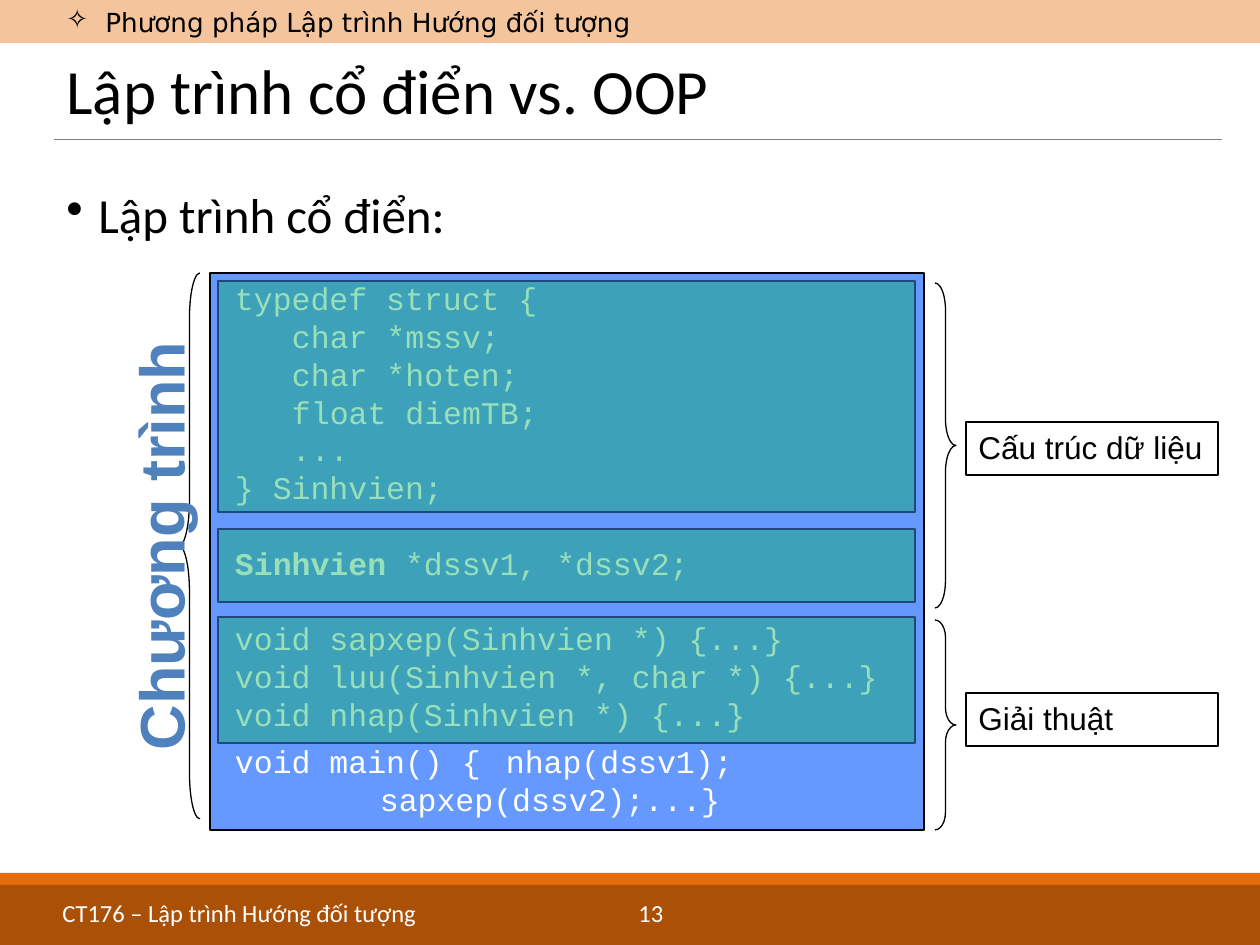
from lxml import etree
from pptx import Presentation
from pptx.dml.color import RGBColor
from pptx.enum.shapes import MSO_CONNECTOR, MSO_SHAPE
from pptx.enum.text import MSO_ANCHOR, PP_ALIGN
from pptx.oxml.ns import qn
from pptx.util import Pt

RECT = MSO_SHAPE.RECTANGLE
LEFT_BRACE, RIGHT_BRACE = MSO_SHAPE.LEFT_BRACE, MSO_SHAPE.RIGHT_BRACE
TOP, MIDDLE = MSO_ANCHOR.TOP, MSO_ANCHOR.MIDDLE
PX = 914400 // 126  # EMU in one px

COLORS = {
    "orange": "E46C0A", "brown": "984807", "gray": "808080", "white": "FFFFFF",
    "black": "000000", "blue": "6699FF", "green": "00B050", "navy": "1F497D",
    "steel": "4F81BD",
}

# Content
TOPIC = "Phương pháp Lập trình Hướng đối tượng"
TITLE = "Lập trình cổ điển vs. OOP"
BULLET = "Lập trình cổ điển:"
FOOTER = "CT176 – Lập trình Hướng đối tượng"
PAGE = "13"
PROGRAM = "Chương trình"
LINE_PT, INDENT = 21.6, 57
# code: bold start, rest, indent in px, space before in pt
CODE = [
    ("", "typedef struct {", 0, 0),
    ("", "char *mssv;", INDENT, 0),
    ("", "char *hoten;", INDENT, 0),
    ("", "float diemTB;", INDENT, 0),
    ("", "...", INDENT, 0),
    ("", "} Sinhvien;", 0, 0),
    ("Sinhvien", " *dssv1, *dssv2;", 0, LINE_PT),
    ("", "void sapxep(Sinhvien *) {...}", 0, LINE_PT),
    ("", "void luu(Sinhvien *, char *) {...}", 0, 0),
    ("", "void nhap(Sinhvien *) {...}", 0, 0),
    ("", "void main() {\t nhap(dssv1);", 0, 5.4),
]
CODE_LAST = "\t\t sapxep(dssv2);...}"
BANDS = [(0, 0, 1260, 43, "orange", 40), (0, 873, 1260, 72, "orange", 100),
         (0, 885, 1260, 60, "brown", 75)]
HIGHLIGHTS = [(281, 231), (529, 73), (617, 126)]  # top, height
BRACES = [(RIGHT_BRACE, 935, 283, 325), (RIGHT_BRACE, 935, 620, 210),
          (LEFT_BRACE, 179, 273, 546)]
BRACE_W = 21
LABELS = [("Cấu trúc dữ liệu", 422), ("Giải thuật", 693)]


def rgb(name):
    return RGBColor.from_string(COLORS[name])


def add_box(x, y, w, h, fill=None, line=None, alpha=100, kind=RECT):
    sp = s.shapes.add_shape(kind, x * PX, y * PX, w * PX, h * PX)
    sp.shadow.inherit = False
    if fill:
        sp.fill.solid()
        sp.fill.fore_color.rgb = rgb(fill)
        if alpha < 100:
            color = sp.fill._xPr.find(".//" + qn("a:srgbClr"))
            etree.SubElement(color, qn("a:alpha"), val=str(alpha * 1000))
    else:
        sp.fill.background()
    if line:
        sp.line.color.rgb = rgb(line)
        sp.line.width = Pt(0.75)
    else:
        sp.line.fill.background()
    return sp


def add_text_box(x, y, w, h):
    return s.shapes.add_textbox(x * PX, y * PX, w * PX, h * PX)


def style(p, size, font, color="black"):
    p.alignment = PP_ALIGN.LEFT
    p.font.size, p.font.name = Pt(size), font
    p.font.color.rgb = rgb(color)


def put_text(sp, text, size, font, color="black", anchor=TOP, wrap=True):
    tf = sp.text_frame
    tf.word_wrap, tf.vertical_anchor = wrap, anchor
    p = tf.paragraphs[0]
    p.add_run().text = text
    style(p, size, font, color)
    return p


def set_indent(p, left, first=0):
    pPr = p._p.get_or_add_pPr()
    pPr.set("marL", str(left * PX))
    pPr.set("indent", str(first * PX))
    return pPr


def add_bullet(p, char, hang):
    pPr = set_indent(p, hang, -hang)
    bullet = etree.Element(qn("a:buChar"), char=char)
    pPr.insert_element_before(bullet, "a:tabLst", "a:defRPr", "a:extLst")


prs = Presentation()
prs.slide_width, prs.slide_height = 1260 * PX, 945 * PX
s = prs.slides.add_slide(prs.slide_layouts[6])

# Bands, rule and footer
for x, y, w, h, color, alpha in BANDS:
    add_box(x, y, w, h, color, alpha=alpha)
rule = s.shapes.add_connector(MSO_CONNECTOR.STRAIGHT, 54 * PX, 139 * PX,
                              1222 * PX, 139 * PX)
rule.line.color.rgb = rgb("gray")
rule.line.width = Pt(0.5)
etree.SubElement(rule._element.spPr, qn("a:effectLst"))
for text, x, w in [(FOOTER, 50, 560), (PAGE, 626, 80)]:
    put_text(add_text_box(x, 892, w, 35), text, 14, "Calibri", "white")

# Title, bullet and topic
p = put_text(add_text_box(54, 50, 1168, 88), TITLE, 36, "Calibri", anchor=MIDDLE)
p.line_spacing = 0.9
p = put_text(add_box(54, 185, 1168, 674, "white"), BULLET, 28, "Calibri")
p.line_spacing, p.space_before = 0.9, Pt(10)
add_bullet(p, "•", 32)
p = put_text(add_text_box(54, 3, 1168, 39), TOPIC, 15, "DejaVu Sans", anchor=MIDDLE)
add_bullet(p, "✧", 39)

# Program code
tf = add_box(210, 273, 714, 557, "blue", "black").text_frame
tf.word_wrap, tf.vertical_anchor = False, TOP
tf.margin_left = 25 * PX
for i, (bold, rest, indent, before) in enumerate(CODE):
    p = tf.add_paragraph() if i else tf.paragraphs[0]
    if bold:
        r = p.add_run()
        r.text, r.font.bold = bold, True
    p.add_run().text = rest
    style(p, 18, "Courier New", "white")
    p.line_spacing, p.space_before = Pt(LINE_PT), Pt(before)
    set_indent(p, indent)
p.add_line_break()
p.add_run().text = CODE_LAST

# Highlights over the code
for y, h in HIGHLIGHTS:
    add_box(218, y, 697, h, "green", "navy", alpha=40)

# Braces and labels
for kind, x, y, h in BRACES:
    brace = add_box(x, y, BRACE_W, h, line="black", kind=kind)
    brace.adjustments[0] = h / 12 / BRACE_W
for text, y in LABELS:
    put_text(add_box(966, y, 252, 53, "white", "black"), text, 18, "Arial", wrap=False)

# Vertical caption
caption = add_text_box(-84, 525, 441, 42)
caption.rotation = 270
p = put_text(caption, PROGRAM, 36, "Arial", "steel", wrap=False)
p.alignment, p.font.bold = PP_ALIGN.CENTER, True

prs.save("out.pptx")
